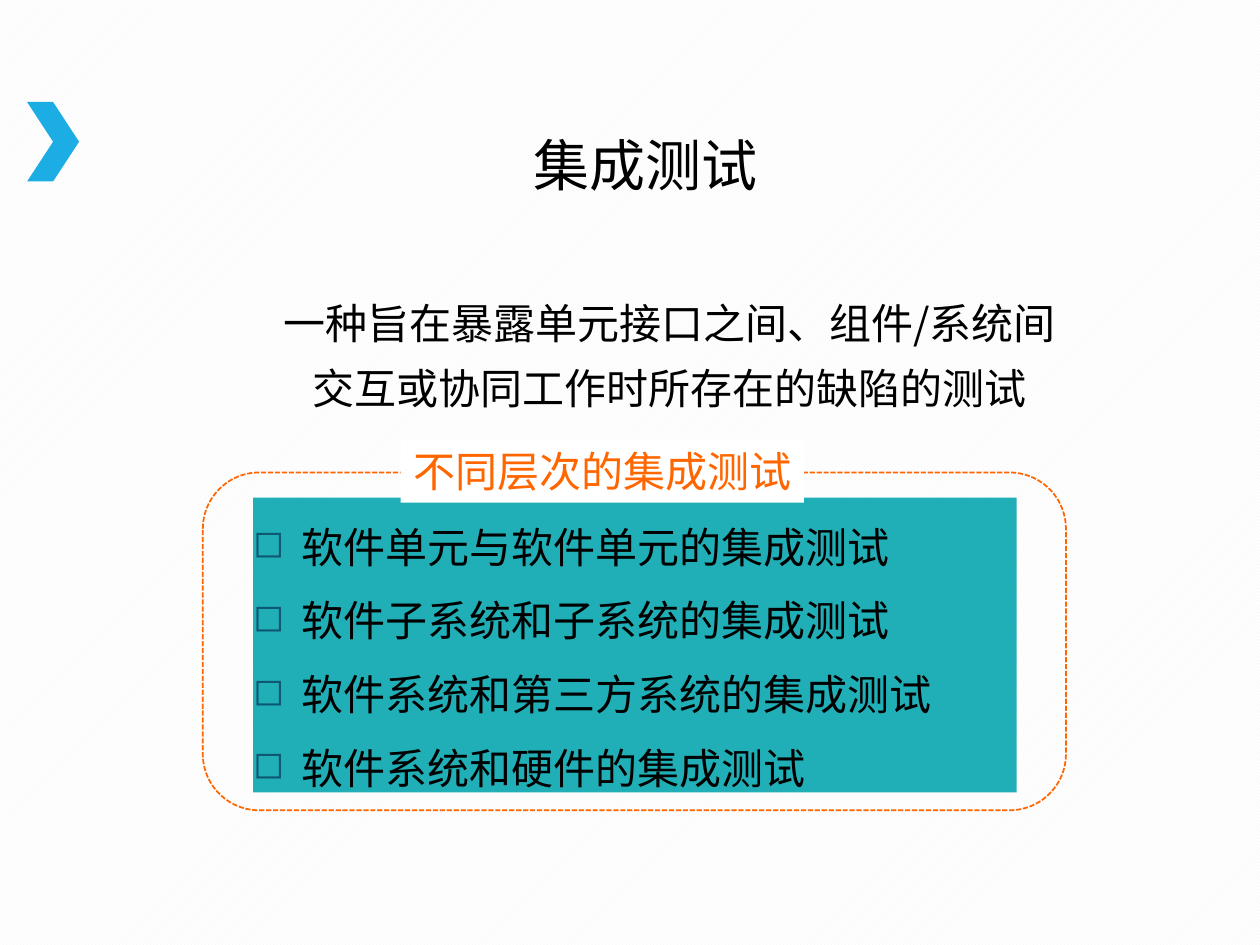
"""Build the slide on integration testing and its levels."""
from dataclasses import dataclass

from lxml import etree
from pptx import Presentation
from pptx.dml.color import RGBColor
from pptx.enum import dml, shapes, text
from pptx.oxml import ns
from pptx.util import Pt

CJK_FONT = "Noto Sans CJK SC"
LEVELS = (
    "软件单元与软件单元的集成测试",
    "软件子系统和子系统的集成测试",
    "软件系统和第三方系统的集成测试",
    "软件系统和硬件的集成测试",
)


@dataclass(frozen=True)
class Panel:
    left: float
    top: float
    width: float
    height: float
    kind: shapes.MSO_SHAPE = shapes.MSO_SHAPE.RECTANGLE
    fill: str | None = None
    line: str | None = None


@dataclass(frozen=True)
class Copy:
    lines: tuple[str, ...]
    size: float = 24
    font: str = "Arial"
    color: str = "000000"
    spacing: float = 1.0
    gap: float = 0
    insets: tuple[float, float, float, float] = (7.2, 3.6, 7.2, 3.6)
    bulleted: bool = False
    wrap: bool = True


def rgb(value: str) -> RGBColor:
    return RGBColor.from_string(value)


def add_child(parent, tag: str, **attributes: str):
    return etree.SubElement(parent, ns.qn(tag), attributes)


def add_bullet(paragraph) -> None:
    properties = paragraph._p.get_or_add_pPr()
    indent = Pt(27.36)
    properties.set("marL", str(indent))
    properties.set("indent", str(-indent))
    add_child(add_child(properties, "a:buClr"), "a:srgbClr", val="0E5772")
    add_child(properties, "a:buSzPct", val="90000")
    add_child(properties, "a:buChar", char="◻")
    stops = add_child(properties, "a:tabLst")
    for position in (28.8, 44.64):
        add_child(stops, "a:tab", pos=str(Pt(position)), algn="l")


def write(frame, copy: Copy) -> None:
    frame.word_wrap = copy.wrap
    frame.vertical_anchor = text.MSO_ANCHOR.TOP
    (frame.margin_left, frame.margin_top,
     frame.margin_right, frame.margin_bottom) = map(Pt, copy.insets)
    for index, line in enumerate(copy.lines):
        paragraph = frame.add_paragraph() if index else frame.paragraphs[0]
        if copy.bulleted:
            add_bullet(paragraph)
        paragraph.alignment = text.PP_ALIGN.LEFT if copy.bulleted else text.PP_ALIGN.CENTER
        paragraph.line_spacing = copy.spacing
        if index:
            paragraph.space_before = Pt(copy.gap)
        run = paragraph.add_run()
        run.text = line
        run.font.size = Pt(copy.size)
        run.font.color.rgb = rgb(copy.color)
        run.font.name = copy.font
        add_child(run.font._element, "a:ea", typeface=CJK_FONT)


def add_panel(slide, panel: Panel, copy: Copy | None = None) -> None:
    shape = slide.shapes.add_shape(
        panel.kind, Pt(panel.left), Pt(panel.top), Pt(panel.width), Pt(panel.height))
    shape.shadow.inherit = False
    if panel.fill:
        shape.fill.solid()
        shape.fill.fore_color.rgb = rgb(panel.fill)
    else:
        shape.fill.background()
    if panel.line:
        shape.line.color.rgb = rgb(panel.line)
        shape.line.width = Pt(1)
        shape.line.dash_style = dml.MSO_LINE.SQUARE_DOT
    else:
        shape.line.fill.background()
    if copy:
        write(shape.text_frame, copy)


def add_text(slide, left: float, top: float, width: float, height: float, copy: Copy) -> None:
    box = slide.shapes.add_textbox(Pt(left), Pt(top), Pt(width), Pt(height))
    write(box.text_frame, copy)


def main() -> None:
    deck = Presentation()
    deck.slide_width, deck.slide_height = Pt(720), Pt(540)
    slide = deck.slides.add_slide(deck.slide_layouts[6])
    backdrop = slide.background.fill
    backdrop.patterned()
    backdrop.pattern = dml.MSO_PATTERN.LIGHT_UPWARD_DIAGONAL
    backdrop.fore_color.rgb = rgb("F2F2F2")
    backdrop.back_color.rgb = rgb("FFFFFF")

    add_panel(slide, Panel(15.5, 58.3, 29.7, 45.4, shapes.MSO_SHAPE.CHEVRON, "1CADE4"))
    definition = "一种旨在暴露单元接口之间、组件/系统间交互或协同工作时所存在的缺陷的测试"
    add_text(slide, 144.7, 157, 476, 84.2, Copy(
        (definition,), font=CJK_FONT, spacing=1.3, insets=(8.64, 4.32, 8.64, 4.32)))
    add_text(slide, 156.2, 71.3, 425.5, 37.4, Copy(("集成测试",), size=32))
    add_panel(slide, Panel(144.7, 284.4, 436.3, 168.5, fill="21AFB7"), Copy(
        LEVELS, spacing=1.3, gap=4.8, insets=(0, 4.8, 0, 0), bulleted=True))
    add_panel(slide, Panel(115.9, 270, 493.2, 193,
                           shapes.MSO_SHAPE.ROUNDED_RECTANGLE, line="FF6600"))
    add_panel(slide, Panel(229, 251.3, 230.4, 36, fill="FFFFFF"), Copy(
        ("不同层次的集成测试",), color="FF6600", wrap=False))
    deck.save("out.pptx")


if __name__ == "__main__":
    main()
